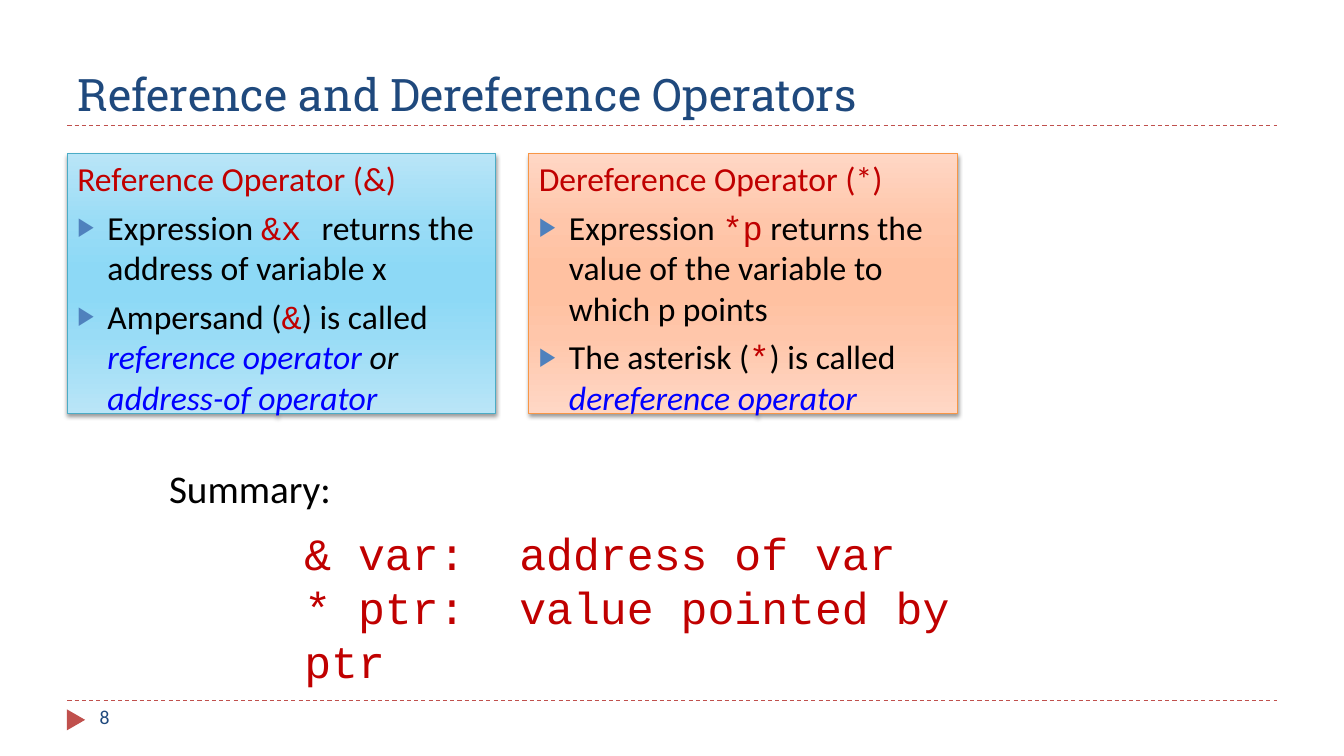
from lxml import etree
from pptx import Presentation
from pptx.dml.color import RGBColor
from pptx.enum import dml, shapes, text
from pptx.oxml import ns
from pptx.util import Cm, Pt

COLORS = {
    "title": "1F497D", "rule": "C0504D", "bullet": "4F81BD",
    "plain": "000000", "accent": "C00000", "term": "0000FF",
}
BLUE_PANEL = {"line": "4BACC6", "tints": ("B9E5F7", "99DCF6", "8DD9F6")}
ORANGE_PANEL = {"line": "F79646", "tints": ("FFD7C5", "FFC6AA", "FFC1A1")}

# Run styles: font, colour, italic
STYLES = {
    "plain": ("Calibri", "plain", False),
    "heading": ("Calibri", "accent", False),
    "code": ("Courier New", "accent", False),
    "term": ("Calibri", "term", True),
    "or": ("Calibri", "plain", True),
    "number": ("Calibri", "title", False),
    "title": ("Roboto Slab", "title", False),
}

REFERENCE = [
    [("Reference Operator (&)", "heading")],
    [("Expression ", "plain"), ("&x ", "code"),
     ("returns the address of variable x", "plain")],
    [("Ampersand (", "plain"), ("&", "code"), (") is called ", "plain"),
     ("reference operator ", "term"), ("or", "or"),
     (" address-of operator", "term")],
]
DEREFERENCE = [
    [("Dereference Operator (*)", "heading")],
    [("Expression ", "plain"), ("*p", "code"),
     (" returns the value of the variable to which p points", "plain")],
    [("The asterisk (", "plain"), ("*", "code"), (") is called ", "plain"),
     ("dereference operator", "term")],
]
SUMMARY = [
    [("& var:  address of var", "code")],
    [("* ptr:  value pointed by ptr", "code")],
]

MARGIN = 1.7
CONTENT_WIDTH = 30.48
PANEL_WIDTH = 10.8
PANEL_GAP = 0.83


def rgb(hex_color):
    return RGBColor.from_string(hex_color)


def add_xml(parent, tag, **attributes):
    return etree.SubElement(parent, ns.qn(tag), attributes)


def add_runs(paragraph, runs, size):
    for words, style in runs:
        font_name, color, italic = STYLES[style]
        run = paragraph.add_run()
        run.text = words
        run.font.name = font_name
        run.font.size = Pt(size)
        run.font.italic = italic
        run.font.color.rgb = rgb(COLORS[color])


def add_bullet(paragraph):
    properties = paragraph._p.get_or_add_pPr()
    properties.set("marL", str(Cm(0.76)))
    properties.set("indent", str(-Cm(0.76)))
    add_xml(add_xml(properties, "a:buClr"), "a:srgbClr", val=COLORS["bullet"])
    add_xml(properties, "a:buSzPct", val="76000")
    add_xml(properties, "a:buFont", typeface="Arial")
    add_xml(properties, "a:buChar", char="▶")


def fill_frame(frame, paragraphs, size, bulleted=False):
    """Write the paragraphs; when bulleted, all but the heading get a bullet."""
    frame.word_wrap = True
    for index, runs in enumerate(paragraphs):
        paragraph = frame.add_paragraph() if index else frame.paragraphs[0]
        paragraph.alignment = text.PP_ALIGN.LEFT
        if bulleted and index:
            paragraph.space_before = Pt(6)
            add_bullet(paragraph)
        add_runs(paragraph, runs, size)


def add_text(slide, left, top, width, height, paragraphs, size):
    box = slide.shapes.add_textbox(Cm(left), Cm(top), Cm(width), Cm(height))
    fill_frame(box.text_frame, paragraphs, size)


def add_rule(slide, top):
    rule = slide.shapes.add_connector(
        shapes.MSO_CONNECTOR.STRAIGHT,
        Cm(MARGIN), Cm(top), Cm(MARGIN + CONTENT_WIDTH), Cm(top))
    rule.line.color.rgb = rgb(COLORS["rule"])
    rule.line.width = Pt(0.75)
    rule.line.dash_style = dml.MSO_LINE.DASH
    add_xml(rule._element.spPr, "a:effectLst")


def add_page_marker(slide):
    marker = slide.shapes.add_shape(
        shapes.MSO_SHAPE.ISOSCELES_TRIANGLE,
        Cm(1.65), Cm(17.91), Cm(0.53), Cm(0.46))
    marker.rotation = 90
    marker.shadow.inherit = False
    marker.fill.solid()
    marker.fill.fore_color.rgb = rgb(COLORS["rule"])
    marker.line.fill.background()


def set_panel_gradient(panel, tints):
    """Shade from a light edge to a deeper middle and back again."""
    edge, near, middle = tints
    panel.fill.gradient()
    panel.fill.gradient_angle = 90
    stops = panel._element.spPr.find(".//" + ns.qn("a:gsLst"))
    for stop in list(stops):
        stops.remove(stop)
    for percent, tint in zip((0, 30, 45, 55, 73, 100),
                             (edge, near, middle, middle, near, edge)):
        stop = add_xml(stops, "a:gs", pos=str(percent * 1000))
        add_xml(stop, "a:srgbClr", val=tint)


def set_panel_shadow(panel):
    panel.shadow.inherit = False
    effects = panel._element.spPr.find(ns.qn("a:effectLst"))
    shadow = add_xml(effects, "a:outerShdw", blurRad=str(Pt(3)),
                     dist=str(Pt(2)), dir="5400000", rotWithShape="0")
    color = add_xml(shadow, "a:srgbClr", val=COLORS["plain"])
    add_xml(color, "a:alpha", val="40000")


def add_panel(slide, column, look, paragraphs):
    left = MARGIN + column * (PANEL_WIDTH + PANEL_GAP)
    panel = slide.shapes.add_shape(
        shapes.MSO_SHAPE.RECTANGLE,
        Cm(left), Cm(3.86), Cm(PANEL_WIDTH), Cm(6.55))
    set_panel_gradient(panel, look["tints"])
    panel.line.color.rgb = rgb(look["line"])
    panel.line.width = Pt(0.75)
    set_panel_shadow(panel)
    panel.text_frame.vertical_anchor = text.MSO_ANCHOR.TOP
    fill_frame(panel.text_frame, paragraphs, 24, bulleted=True)


def set_title(slide, words):
    title = slide.shapes.title
    title.left, title.top = Cm(MARGIN), Cm(0.43)
    title.width, title.height = Cm(CONTENT_WIDTH), Cm(2.74)
    title.text_frame.vertical_anchor = text.MSO_ANCHOR.BOTTOM
    fill_frame(title.text_frame, [[(words, "title")]], 32)


def main():
    deck = Presentation()
    deck.slide_width, deck.slide_height = Cm(33.87), Cm(19.05)
    slide = deck.slides.add_slide(deck.slide_layouts[5])

    set_title(slide, "Reference and Dereference Operators")
    for top in (3.17, 17.65):
        add_rule(slide, top)
    add_page_marker(slide)
    add_text(slide, 2.26, 17.65, 7.34, 1.02, [[("8", "number")]], 14)

    add_panel(slide, 0, BLUE_PANEL, REFERENCE)
    add_panel(slide, 1, ORANGE_PANEL, DEREFERENCE)
    add_text(slide, 7.42, 13.13, 18.08, 3, SUMMARY, 32)
    add_text(slide, 4.01, 11.58, 4.7, 1.45, [[("Summary:", "plain")]], 28)

    deck.save("out.pptx")


if __name__ == "__main__":
    main()
